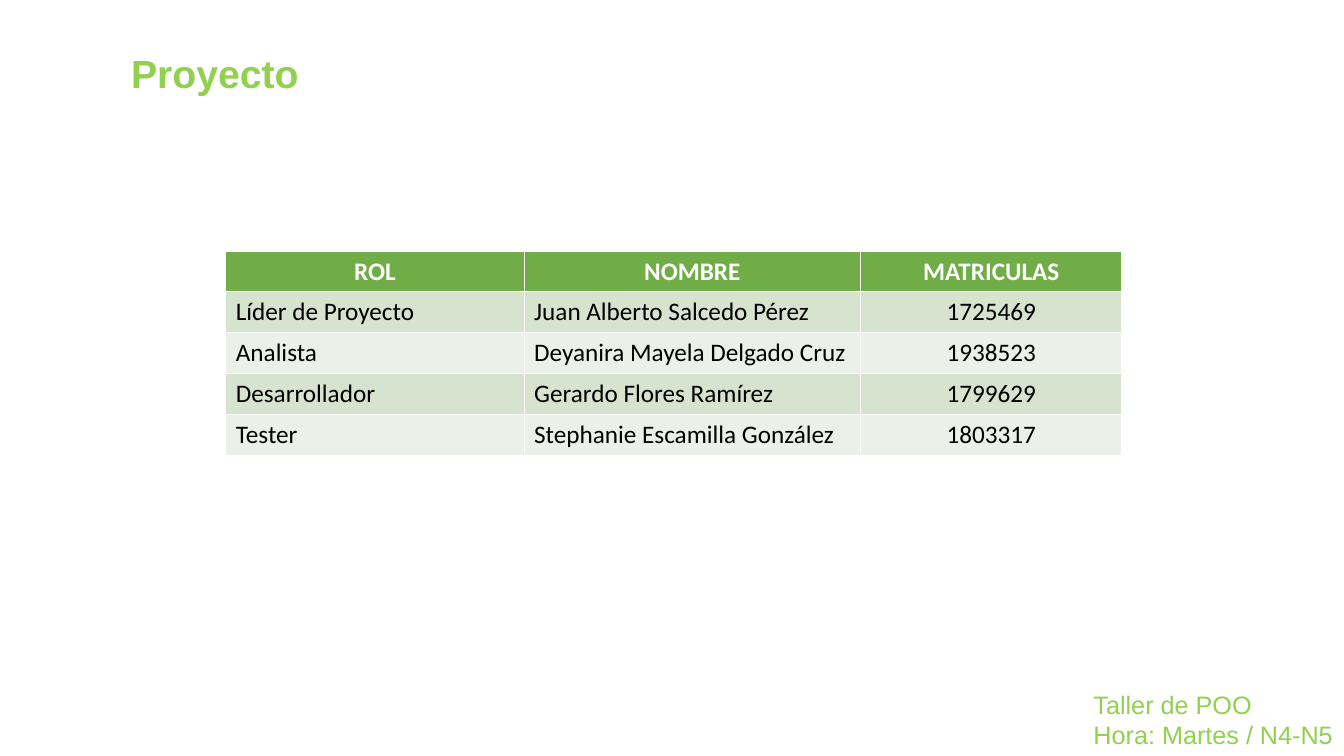
from dataclasses import dataclass

from pptx import Presentation
from pptx.dml.color import RGBColor
from pptx.enum.text import MSO_ANCHOR, MSO_AUTO_SIZE, PP_ALIGN
from pptx.util import Pt

LEFT, CENTER = PP_ALIGN.LEFT, PP_ALIGN.CENTER
TOP = MSO_ANCHOR.TOP
NO_AUTOFIT = MSO_AUTO_SIZE.NONE
TITLE_ONLY = 5

LIME, GREEN, WHITE, BLACK = "92D050", "70AD47", "FFFFFF", "000000"
BANDS = ("D5E3CF", "EBF1E9")
ROW_HEIGHT = 29.2


@dataclass(frozen=True)
class TextStyle:
    font: str
    size: float
    color: str
    bold: bool = False


@dataclass(frozen=True)
class Column:
    heading: str
    width: float
    align: PP_ALIGN


@dataclass(frozen=True)
class Member:
    role: str
    name: str
    enrolment: str


TITLE = TextStyle("Arial", 28, LIME, True)
COURSE = TextStyle("Arial", 18, LIME)
HEADING = TextStyle("Calibri", 18, WHITE, True)
BODY = TextStyle("Calibri", 18, BLACK)

COLUMNS = (
    Column("ROL", 213.1, LEFT),
    Column("NOMBRE", 240.4, LEFT),
    Column("MATRICULAS", 186.6, CENTER),
)
TEAM = (
    Member("Líder de Proyecto", "Juan Alberto Salcedo Pérez", "1725469"),
    Member("Analista", "Deyanira Mayela Delgado Cruz", "1938523"),
    Member("Desarrollador", "Gerardo Flores Ramírez", "1799629"),
    Member("Tester", "Stephanie Escamilla González", "1803317"),
)


def rgb(color: str) -> RGBColor:
    return RGBColor.from_string(color)


def write(frame, lines: tuple[str, ...], style: TextStyle, align: PP_ALIGN = LEFT) -> None:
    for index, line in enumerate(lines):
        paragraph = frame.paragraphs[0] if index == 0 else frame.add_paragraph()
        paragraph.alignment = align
        run = paragraph.add_run()
        run.text = line
        run.font.name = style.font
        run.font.size = Pt(style.size)
        run.font.bold = style.bold
        run.font.color.rgb = rgb(style.color)


def fill_cell(cell, text: str, style: TextStyle, fill: str, align: PP_ALIGN) -> None:
    cell.fill.solid()
    cell.fill.fore_color.rgb = rgb(fill)
    write(cell.text_frame, (text,), style, align)


def add_title(slide, text: str) -> None:
    title = slide.shapes.title
    title.left, title.top, title.width, title.height = Pt(86.4), Pt(31.7), Pt(598.3), Pt(41)
    frame = title.text_frame
    frame.word_wrap = True
    frame.auto_size = NO_AUTOFIT
    frame.vertical_anchor = TOP
    write(frame, (text,), TITLE)


def add_team_table(slide) -> None:
    row_count = len(TEAM) + 1
    table = slide.shapes.add_table(
        row_count, len(COLUMNS), Pt(161.3), Pt(179.3),
        Pt(sum(column.width for column in COLUMNS)), Pt(ROW_HEIGHT * row_count),
    ).table
    for row in table.rows:
        row.height = Pt(ROW_HEIGHT)
    for index, column in enumerate(COLUMNS):
        table.columns[index].width = Pt(column.width)
        fill_cell(table.cell(0, index), column.heading, HEADING, GREEN, CENTER)
    for row_index, member in enumerate(TEAM):
        values = (member.role, member.name, member.enrolment)
        fill = BANDS[row_index % len(BANDS)]
        for index, (value, column) in enumerate(zip(values, COLUMNS)):
            fill_cell(table.cell(row_index + 1, index), value, BODY, fill, column.align)


def add_course_note(slide) -> None:
    note = slide.shapes.add_textbox(Pt(774), Pt(488.9), Pt(434.9), Pt(51.1))
    note.text_frame.word_wrap = True
    write(note.text_frame, ("Taller de POO", "Hora: Martes / N4-N5"), COURSE)


def main() -> None:
    """Build the project team slide."""
    deck = Presentation()
    deck.slide_width, deck.slide_height = Pt(960), Pt(540)
    slide = deck.slides.add_slide(deck.slide_layouts[TITLE_ONLY])
    add_team_table(slide)
    add_title(slide, "Proyecto")
    add_course_note(slide)
    deck.save("out.pptx")


main()
